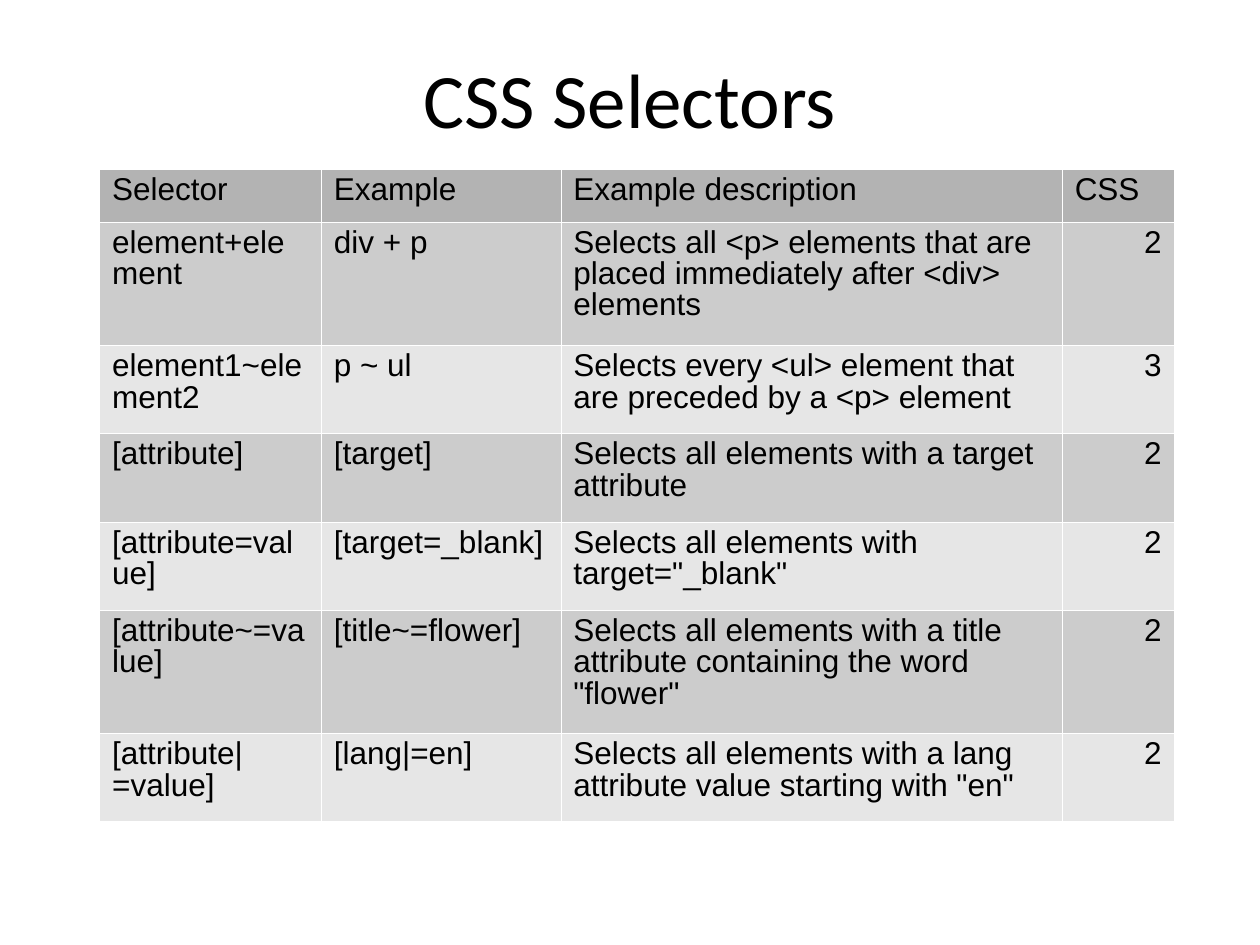
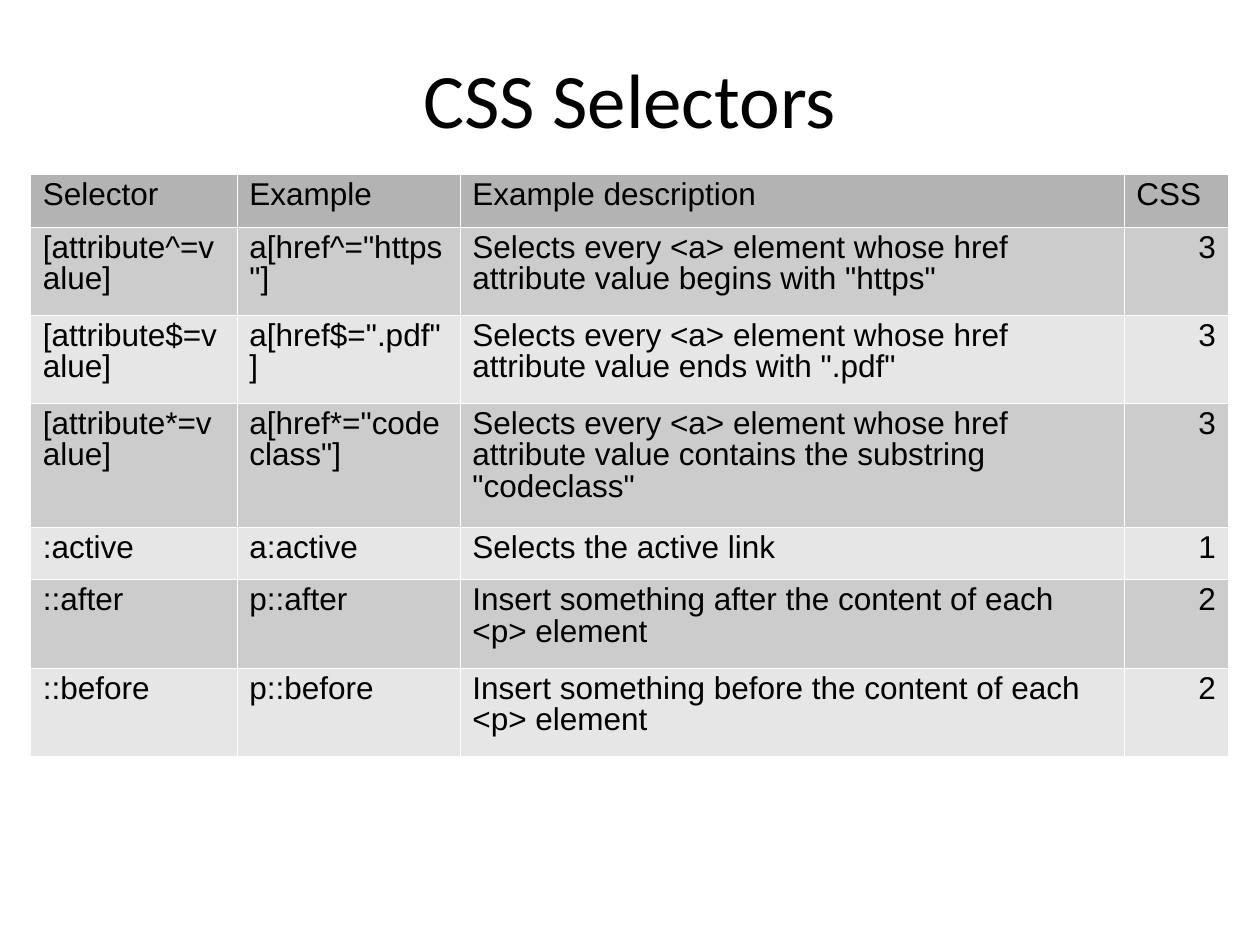
from lxml import etree
from pptx import Presentation
from pptx.dml.color import RGBColor
from pptx.enum.text import MSO_ANCHOR as Anchor, PP_ALIGN as Align
from pptx.oxml.ns import qn
from pptx.util import Inches, Pt

BLACK = RGBColor(0x00, 0x00, 0x00)
WHITE = RGBColor(0xFF, 0xFF, 0xFF)
HEADER_GRAY = RGBColor(0xB3, 0xB3, 0xB3)
BAND_GRAYS = (RGBColor(0xCC, 0xCC, 0xCC), RGBColor(0xE6, 0xE6, 0xE6))

HEADER = ("Selector", "Example", "Example description", "CSS")
LINE_HEIGHT, ROW_PADDING = 0.28, 0.14

# Rows: lines of text, selector, example, description, CSS version
COMBINATORS_AND_ATTRIBUTES = [
    (3, "element+element", "div + p",
     "Selects all <p> elements that are placed immediately after <div> elements", 2),
    (2, "element1~element2", "p ~ ul",
     "Selects every <ul> element that are preceded by a <p> element", 3),
    (2, "[attribute]", "[target]", "Selects all elements with a target attribute", 2),
    (2, "[attribute=value]", "[target=_blank]",
     'Selects all elements with target="_blank"', 2),
    (3, "[attribute~=value]", "[title~=flower]",
     'Selects all elements with a title attribute containing the word "flower"', 2),
    (2, "[attribute|=value]", "[lang|=en]",
     'Selects all elements with a lang attribute value starting with "en"', 2),
]
SUBSTRINGS_AND_PSEUDO = [
    (2, "[attribute^=value]", 'a[href^="https"]',
     'Selects every <a> element whose href attribute value begins with "https"', 3),
    (2, "[attribute$=value]", 'a[href$=".pdf"]',
     'Selects every <a> element whose href attribute value ends with ".pdf"', 3),
    (3, "[attribute*=value]", 'a[href*="codeclass"]',
     'Selects every <a> element whose href attribute value contains the substring "codeclass"', 3),
    (1, ":active", "a:active", "Selects the active link", 1),
    (2, "::after", "p::after", "Insert something after the content of each <p> element", 2),
    (2, "::before", "p::before", "Insert something before the content of each <p> element", 2),
]


class Deck:
    """Holds the presentation, its style and the current slide."""

    def __init__(self):
        self.presentation = Presentation()
        self.presentation.slide_width = Inches(10)
        self.presentation.slide_height = Inches(7.5)
        self.slide = None

    def add_slide(self):
        self.slide = self.presentation.slides.add_slide(self.presentation.slide_layouts[6])

    def style_paragraph(self, paragraph, font_name, size, alignment):
        paragraph.alignment = alignment
        paragraph.font.name = font_name
        paragraph.font.size = Pt(size)
        paragraph.font.color.rgb = BLACK

    def add_title(self, text):
        box = self.slide.shapes.add_textbox(Inches(0.5), Inches(0.15), Inches(9), Inches(1.25))
        frame = box.text_frame
        frame.word_wrap = True
        frame.vertical_anchor = Anchor.MIDDLE
        frame.margin_left = frame.margin_right = frame.margin_top = frame.margin_bottom = 0
        frame.text = text
        self.style_paragraph(frame.paragraphs[0], "Calibri", 44, Align.CENTER)

    def add_selector_table(self, left, top, column_widths, rows):
        heights = [lines * LINE_HEIGHT + ROW_PADDING for lines in [1] + [row[0] for row in rows]]
        table = self.slide.shapes.add_table(
            len(heights), len(HEADER), Inches(left), Inches(top),
            Inches(sum(column_widths)), Inches(sum(heights))).table
        table.first_row = table.horz_banding = False
        for column, width in zip(table.columns, column_widths):
            column.width = Inches(width)
        for table_row, height in zip(table.rows, heights):
            table_row.height = Inches(height)

        for row_index, values in enumerate([HEADER] + [row[1:] for row in rows]):
            fill = BAND_GRAYS[(row_index - 1) % 2] if row_index else HEADER_GRAY
            for column_index, value in enumerate(values):
                alignment = Align.RIGHT if isinstance(value, int) else Align.LEFT
                self.fill_cell(table.cell(row_index, column_index), str(value), fill, alignment)

    def fill_cell(self, cell, text, fill, alignment):
        cell.text = text
        cell.margin_left = cell.margin_right = Inches(0.1)
        cell.margin_top = cell.margin_bottom = Inches(0.05)
        cell.fill.solid()
        cell.fill.fore_color.rgb = fill
        paragraph = cell.text_frame.paragraphs[0]
        paragraph.line_spacing = 0.89
        self.style_paragraph(paragraph, "Arial", 18, alignment)
        self.add_borders(cell)

    def add_borders(self, cell):
        # Borders must come before the fill in the cell properties
        properties = cell._tc.get_or_add_tcPr()
        for index, side in enumerate(("lnL", "lnR", "lnT", "lnB")):
            line = etree.Element(qn(f"a:{side}"), w=str(Pt(0.06)))
            solid = etree.SubElement(line, qn("a:solidFill"))
            etree.SubElement(solid, qn("a:srgbClr"), val=str(WHITE))
            properties.insert(index, line)


def main():
    deck = Deck()
    tables = [
        (0.79, 1.34, (1.76, 1.9, 3.98, 0.89), COMBINATORS_AND_ATTRIBUTES),
        (0.24, 1.38, (1.64, 1.77, 5.27, 0.83), SUBSTRINGS_AND_PSEUDO),
    ]
    for left, top, column_widths, rows in tables:
        deck.add_slide()
        deck.add_title("CSS Selectors")
        deck.add_selector_table(left, top, column_widths, rows)
    deck.presentation.save("out.pptx")


if __name__ == "__main__":
    main()
